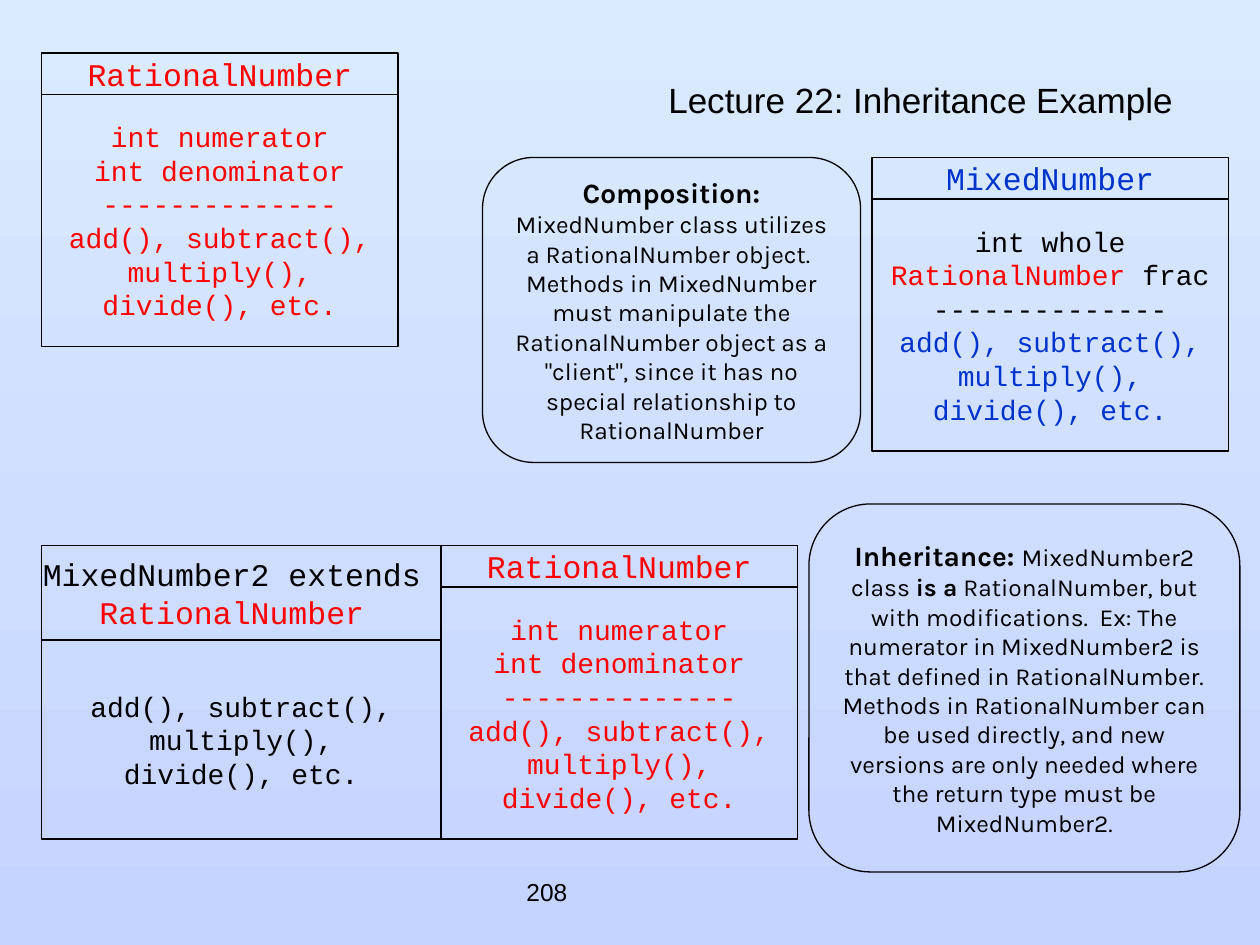
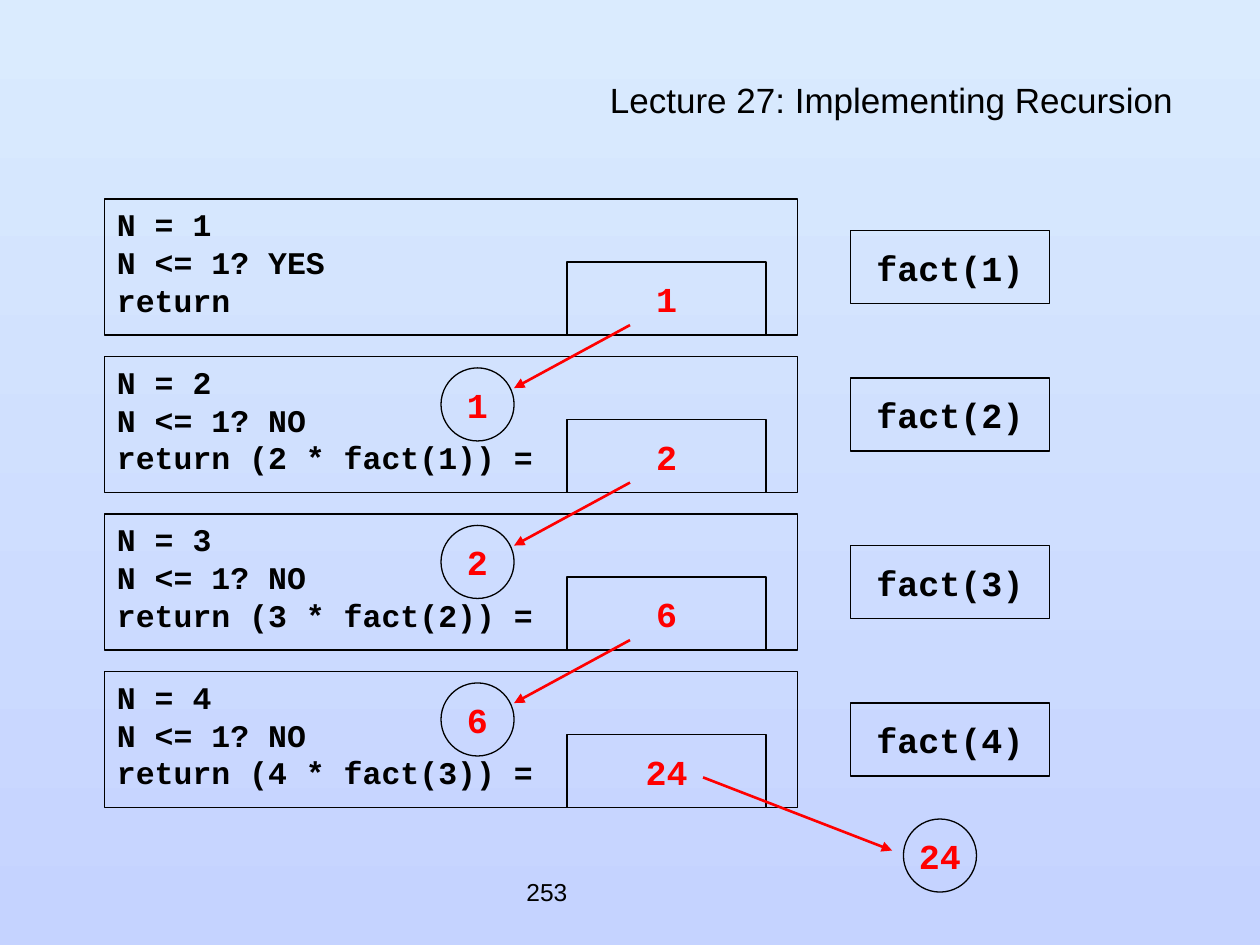
from lxml.etree import SubElement
from pptx import Presentation
from pptx.dml.color import RGBColor
from pptx.enum.shapes import MSO_CONNECTOR as Connector, MSO_SHAPE as Shape
from pptx.enum.text import MSO_ANCHOR as Anchor, PP_ALIGN as Align
from pptx.oxml.ns import qn
from pptx.util import Inches, Pt

# Shared look
BLACK, RED, BLUE = "000000", "FF0000", "0033CC"
SKY_TOP, SKY_BOTTOM = "DAEBFE", "C5D3FF"
SANS, CODE, NOTE = "Arial", "Courier New", "Karla"

# Class diagram contents
RULE = "-" * 14
OPERATIONS = ["add(), subtract(),", "multiply(),", "divide(), etc."]
RATIONAL_MEMBERS = ["int numerator", "int denominator", RULE, *OPERATIONS]


def colour_of(hex_code):
    return RGBColor.from_string(hex_code)


def write(box, lines, font, size, colour=BLACK, bold=False,
          align=Align.CENTER, anchor=Anchor.MIDDLE, wrap=False, spacing=None):
    """Each line is a string or a list of (text, changed style) pairs."""
    frame = box.text_frame
    frame.word_wrap = wrap
    frame.vertical_anchor = anchor
    for index, line in enumerate(lines):
        para = frame.paragraphs[0] if index == 0 else frame.add_paragraph()
        para.alignment = align
        if spacing:
            para.line_spacing = spacing
        for text, style in [(line, {})] if isinstance(line, str) else line:
            span = para.add_run()
            span.text = text
            span.font.name = font
            span.font.size = Pt(style.get("size", size))
            span.font.bold = style.get("bold", bold)
            span.font.color.rgb = colour_of(style.get("colour", colour))


# Element builders
def add_outline(page, kind, left, top, width, height):
    box = page.shapes.add_shape(
        kind, Inches(left), Inches(top), Inches(width), Inches(height))
    box.shadow.inherit = False
    box.fill.background()
    box.line.color.rgb = colour_of(BLACK)
    box.line.width = Pt(0.75)
    return box


def add_class(page, left, top, width, head_height, body_height, head, body,
              head_colour=RED, body_colour=RED):
    body_box = add_outline(page, Shape.RECTANGLE, left, top + head_height,
                           width, body_height)
    write(body_box, body, CODE, 16, body_colour)
    head_box = add_outline(page, Shape.RECTANGLE, left, top, width, head_height)
    write(head_box, head, CODE, 18, head_colour)


def add_note(page, left, top, width, height, heading, spans):
    box = add_outline(page, Shape.ROUNDED_RECTANGLE, left, top, width, height)
    box.adjustments[0] = 0.167
    write(box, [[(heading, {"size": 16, "bold": True}), *spans]], NOTE, 14,
          wrap=True)


def add_value(page, kind, left, top, width, text, colour=RED):
    box = add_outline(page, kind, left, top, width, 0.58)
    write(box, [text], CODE, 20, colour, bold=True)


def add_arrow(page, start, end):
    points = [Inches(length) for length in (*start, *end)]
    arrow = page.shapes.add_connector(Connector.STRAIGHT, *points)
    arrow.line.color.rgb = colour_of(RED)
    arrow.line.width = Pt(1.5)
    properties = arrow.line._get_or_add_ln()
    SubElement(properties, qn("a:tailEnd"), type="triangle")
    SubElement(arrow._element.spPr, qn("a:effectLst"))


def add_page(deck, title, number):
    page = deck.slides.add_slide(deck.slide_layouts[6])
    footer = page.shapes.add_textbox(
        Inches(4.08), Inches(6.83), Inches(2.08), Inches(0.5))
    write(footer, [number], SANS, 14, align=Align.LEFT)
    heading = page.shapes.add_textbox(
        Inches(0.58), Inches(0.67), Inches(8.83), Inches(0.33))
    write(heading, [title], SANS, 20, align=Align.RIGHT, wrap=True, spacing=0.7)
    return page


def paint_background(deck):
    fill = deck.slide_master.background.fill
    fill.gradient()
    fill.gradient_angle = 270
    for stop, hex_code in zip(fill.gradient_stops, (SKY_TOP, SKY_BOTTOM)):
        stop.color.rgb = colour_of(hex_code)


# Slides
def build_inheritance(deck):
    page = add_page(deck, "Lecture 22: Inheritance Example", "208")

    # Classes
    add_class(page, 0.33, 0.42, 2.83, 0.33, 2, ["RationalNumber"],
              RATIONAL_MEMBERS)
    mixed_members = ["int whole",
                     [("RationalNumber", {"colour": RED}), (" frac", {})],
                     RULE,
                     *[[(text, {"colour": BLUE})] for text in OPERATIONS]]
    add_class(page, 6.92, 1.25, 2.83, 0.33, 2, ["MixedNumber"], mixed_members,
              BLUE, BLACK)
    add_class(page, 0.33, 4.33, 3.17, 0.75, 1.58,
              ["MixedNumber2 extends ",
               [("RationalNumber ", {"colour": RED})]],
              OPERATIONS, BLACK, BLACK)
    add_class(page, 3.5, 4.33, 2.83, 0.33, 2, ["RationalNumber"],
              RATIONAL_MEMBERS)

    # Explanations
    add_note(page, 3.83, 1.25, 3, 2.42, "Composition: ", [
        ("MixedNumber class utilizes a RationalNumber object.  Methods in "
         "MixedNumber must manipulate the RationalNumber object as a "
         "\"client\", since it has no special relationship to "
         "RationalNumber", {})])
    add_note(page, 6.42, 4, 3.42, 2.92, "Inheritance: ", [
        ("MixedNumber2 class ", {}),
        ("is a", {"bold": True}),
        (" RationalNumber, but with modifications.  Ex: The numerator in "
         "MixedNumber2 is that defined in RationalNumber. Methods in "
         "RationalNumber can be used directly, and new versions are only "
         "needed where the return type must be MixedNumber2.", {})])


def build_recursion(deck):
    page = add_page(deck, "Lecture 27: Implementing Recursion", "253")
    results = ["1", "2", "6", "24"]
    label_tops = [1.83, 3, 4.33, 5.58]

    # One call frame per level, the base case on top
    for level, (result, label_top) in enumerate(zip(results, label_tops), 1):
        top = 1.58 + 1.25 * (level - 1)
        if level == 1:
            steps = ["N <= 1? YES", "return"]
        else:
            steps = ["N <= 1? NO", f"return ({level} * fact({level - 1})) ="]
        call = add_outline(page, Shape.RECTANGLE, 0.83, top, 5.5, 1.08)
        write(call, [f"N = {level}", *steps], CODE, 18, bold=True,
              align=Align.LEFT, anchor=Anchor.TOP)
        add_value(page, Shape.RECTANGLE, 6.75, label_top, 1.58,
                  f"fact({level})", BLACK)
        add_value(page, Shape.RECTANGLE, 4.5, top + 0.5, 1.58, result)

    # Results handed back to the caller below
    for step, result in enumerate(results[:-1]):
        top = 2.58 + 1.25 * step
        add_arrow(page, (5, top), (4.08, top + 0.5))
        add_value(page, Shape.OVAL, 3.5, top + 0.34, 0.58, result)
    add_arrow(page, (5.58, 6.17), (7.08, 6.75))
    add_value(page, Shape.OVAL, 7.17, 6.5, 0.58, results[-1])


def main():
    deck = Presentation()
    deck.slide_width, deck.slide_height = Inches(10), Inches(7.5)
    paint_background(deck)
    build_inheritance(deck)
    build_recursion(deck)
    deck.save("out.pptx")


if __name__ == "__main__":
    main()
